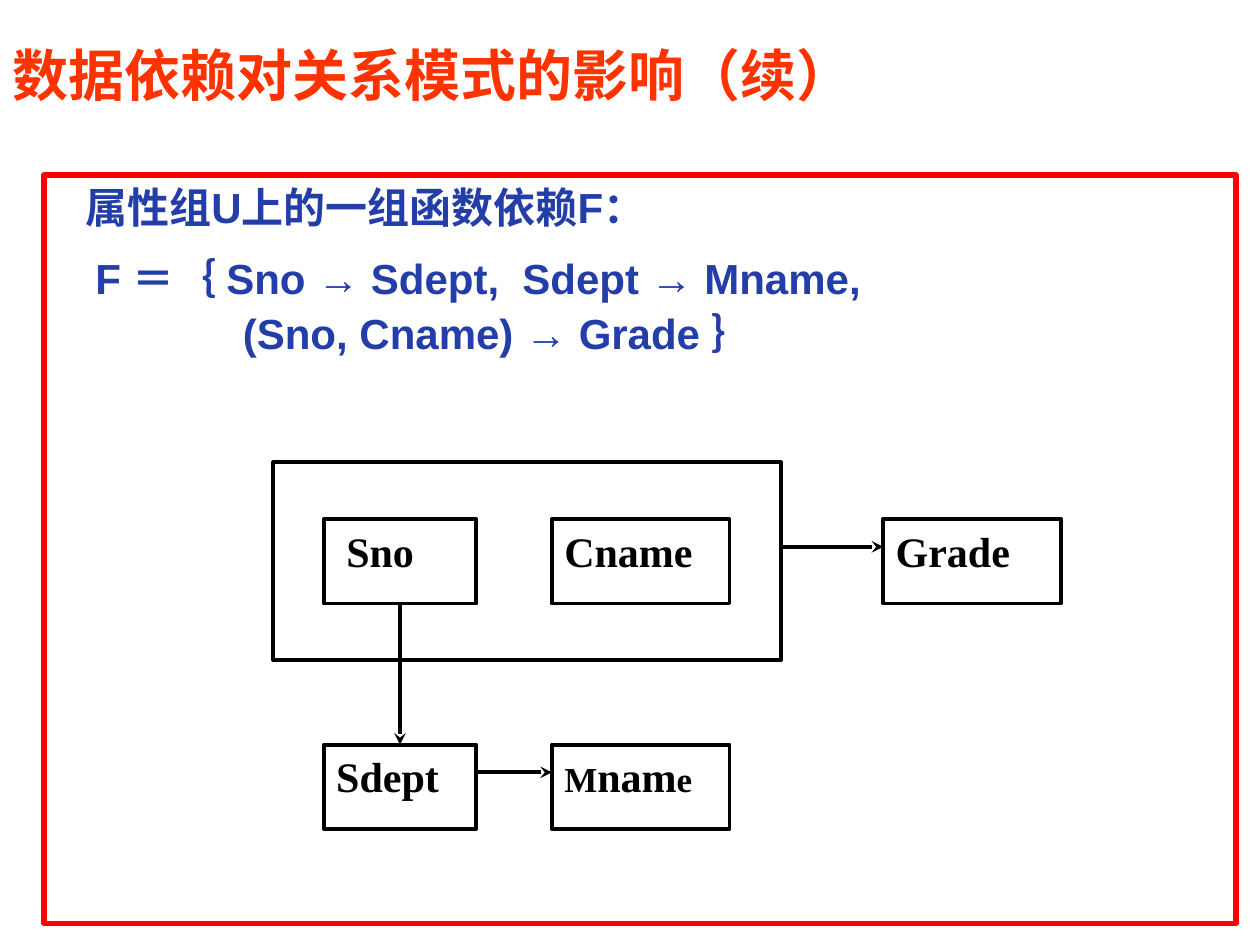
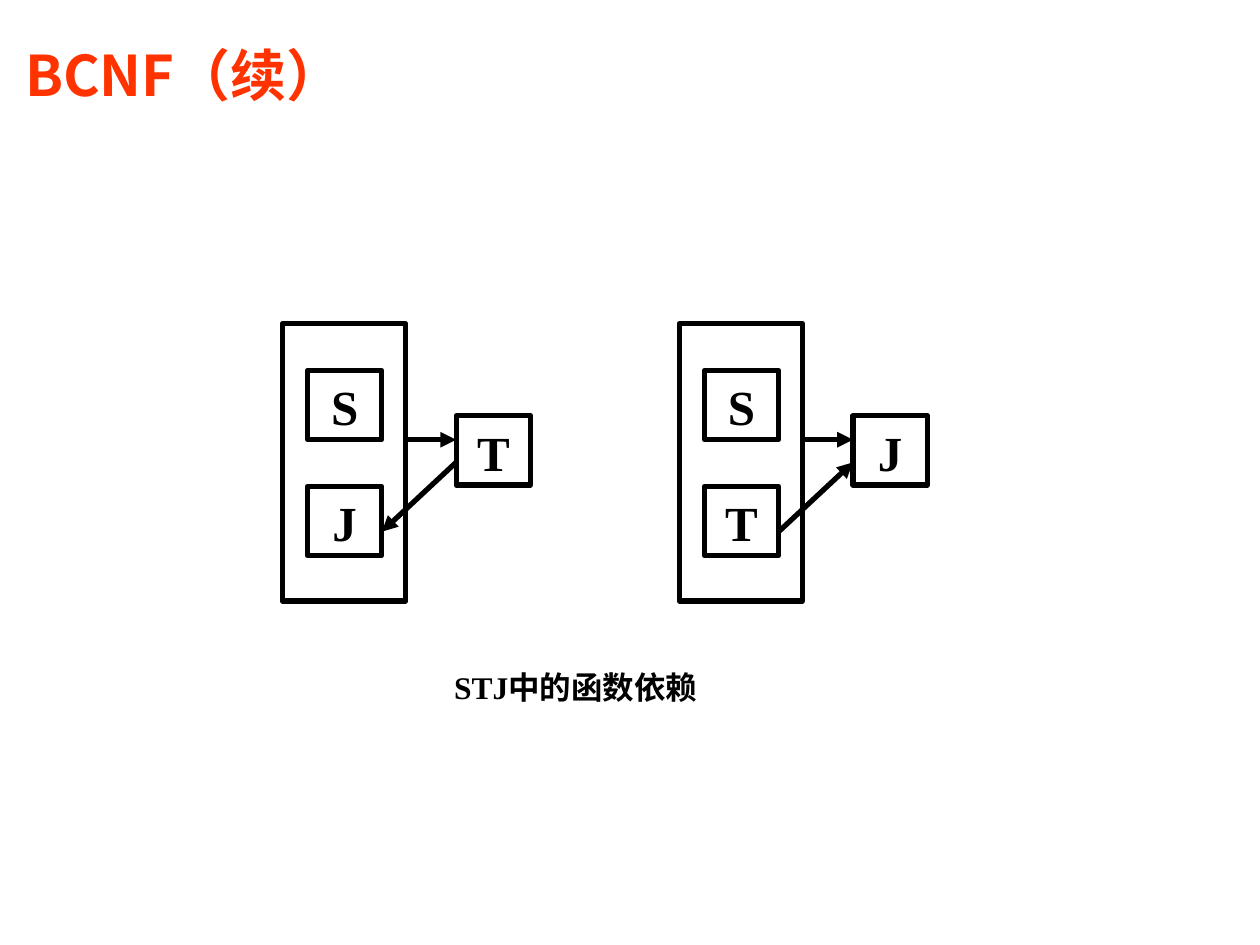
from lxml.etree import SubElement
from pptx import Presentation
from pptx.dml.color import RGBColor
from pptx.enum.shapes import MSO_CONNECTOR, MSO_SHAPE
from pptx.enum.text import MSO_ANCHOR, PP_ALIGN
from pptx.oxml.ns import qn
from pptx.util import Inches, Pt

ORANGE = RGBColor(0xFF, 0x33, 0x00)
RED = RGBColor(0xFF, 0x00, 0x00)
BLUE = RGBColor(0x23, 0x3D, 0xA9)
BLACK = RGBColor(0x00, 0x00, 0x00)
CJK, SANS, SERIF = "Noto Sans CJK SC", "Arial", "Times New Roman"


class Builder:
    """Holds the shared style and the slide being built."""

    def __init__(self, deck):
        self.deck = deck
        self.page = None
        self.line_width = 2.25
        self.arrowhead = "stealth"

    def new_page(self, title, indent=0.0):
        self.page = self.deck.slides.add_slide(self.deck.slide_layouts[6])
        box = self.text_box(0, 0.28, 8.08, 0.62)
        box.text_frame.vertical_anchor = MSO_ANCHOR.MIDDLE
        self.add_text(box, [(title, 32)], CJK, ORANGE, indent=indent)

    def text_box(self, left, top, width, height):
        box = self.page.shapes.add_textbox(
            Inches(left), Inches(top), Inches(width), Inches(height))
        box.text_frame.word_wrap = True
        return box

    def rectangle(self, left, top, width, height, color=BLACK, line_width=None):
        box = self.page.shapes.add_shape(
            MSO_SHAPE.RECTANGLE,
            Inches(left), Inches(top), Inches(width), Inches(height))
        box.shadow.inherit = False
        box.fill.background()
        box.line.color.rgb = color
        box.line.width = Pt(line_width or self.line_width)
        box.text_frame.word_wrap = True
        box.text_frame.vertical_anchor = MSO_ANCHOR.TOP
        return box

    def add_text(self, box, spans, font, color, align=PP_ALIGN.LEFT,
                 indent=0.0, before=0, spacing=None, new=False):
        """Fill the first paragraph, or a new one, with (text, size) spans."""
        frame = box.text_frame
        para = frame.add_paragraph() if new else frame.paragraphs[0]
        para.alignment = align
        para.space_before = Pt(before)
        if spacing:
            para.line_spacing = spacing
        if indent:
            para._p.get_or_add_pPr().set("marL", str(Inches(indent)))
        for text, size in spans:
            span = para.add_run()
            span.text = text
            span.font.size = Pt(size)
            span.font.bold = True
            span.font.color.rgb = color
            span.font.name = font
            SubElement(span.font._element, qn("a:ea"), typeface=CJK)

    def arrow(self, x1, y1, x2, y2):
        arrow = self.page.shapes.add_connector(
            MSO_CONNECTOR.STRAIGHT,
            Inches(x1), Inches(y1), Inches(x2), Inches(y2))
        arrow.line.color.rgb = BLACK
        arrow.line.width = Pt(self.line_width)
        properties = arrow._element.spPr
        SubElement(properties.find(qn("a:ln")), qn("a:tailEnd"), type=self.arrowhead)
        SubElement(properties, qn("a:effectLst"))
        return arrow


def dependency_page(builder):
    builder.new_page("数据依赖对关系模式的影响（续）")

    # Framed list of dependencies
    frame = builder.rectangle(0.35, 1.39, 9.46, 5.94, RED, 3)
    builder.add_text(frame, [("属性组U上的一组函数依赖F：", 24)], SANS, BLUE, indent=0.23)
    builder.add_text(frame, [("F ＝｛ Sno → Sdept,  Sdept → Mname,", 24)], SANS, BLUE,
                     indent=0.31, before=6, spacing=1.2, new=True)
    builder.add_text(frame, [("(Sno, Cname) → Grade ｝", 24)], SANS, BLUE,
                     indent=1.48, before=3, new=True)

    # Attribute boxes, in three columns and two rows
    builder.rectangle(2.17, 3.67, 4.03, 1.57)
    columns = [(2.57, 1.21), (4.38, 1.41), (7.01, 1.41)]
    upper, lower = 4.12, 5.91
    attributes = [
        (0, upper, [("Sno", 24)], 0.08),
        (1, upper, [("Cname", 24)], 0),
        (2, upper, [("Grade", 24)], 0),
        (0, lower, [("Sdept", 24)], 0),
        (1, lower, [("M", 20), ("nam", 24), ("e", 20)], 0),
    ]
    boxes = {}
    for column, top, spans, indent in attributes:
        left, width = columns[column]
        box = builder.rectangle(left, top, width, 0.67)
        builder.add_text(box, spans, SERIF, BLACK, PP_ALIGN.JUSTIFY, indent)
        boxes[column, top] = box

    # Dependency arrows
    sno_to_sdept = builder.arrow(3.17, 4.79, 3.17, lower)
    sno_to_sdept.begin_connect(boxes[0, upper], 2)
    sno_to_sdept.end_connect(boxes[0, lower], 0)
    builder.arrow(3.78, 6.13, 4.38, 6.13)
    builder.arrow(6.2, 4.34, 7.01, 4.34)


def bcnf_page(builder):
    builder.new_page("BCNF（续）", indent=0.1)
    builder.line_width = 3
    builder.arrowhead = "triangle"

    # Two diagrams with the same layout
    for left, names in ((2.24, "SJT"), (5.39, "STJ")):
        builder.rectangle(left, 2.57, 0.98, 2.2)
        places = ((0.2, 2.94), (0.2, 3.86), (1.38, 3.3))
        for name, (offset, top) in zip(names, places):
            box = builder.rectangle(left + offset, top, 0.59, 0.55)
            builder.add_text(box, [(name, 28)], SERIF, BLACK, PP_ALIGN.CENTER)
        builder.arrow(left + 0.98, 3.49, left + 1.38, 3.49)
    builder.arrow(3.62, 3.67, 3.03, 4.22)
    builder.arrow(6.18, 4.22, 6.77, 3.67)

    # Caption
    caption = builder.text_box(3.43, 5.25, 2.28, 0.55)
    builder.add_text(caption, [("STJ中的函数依赖", 18)], SERIF, BLACK, PP_ALIGN.CENTER)


def main():
    deck = Presentation()
    deck.slide_width, deck.slide_height = Inches(10), Inches(7.5)
    builder = Builder(deck)
    dependency_page(builder)
    bcnf_page(builder)
    deck.save("out.pptx")


if __name__ == "__main__":
    main()
